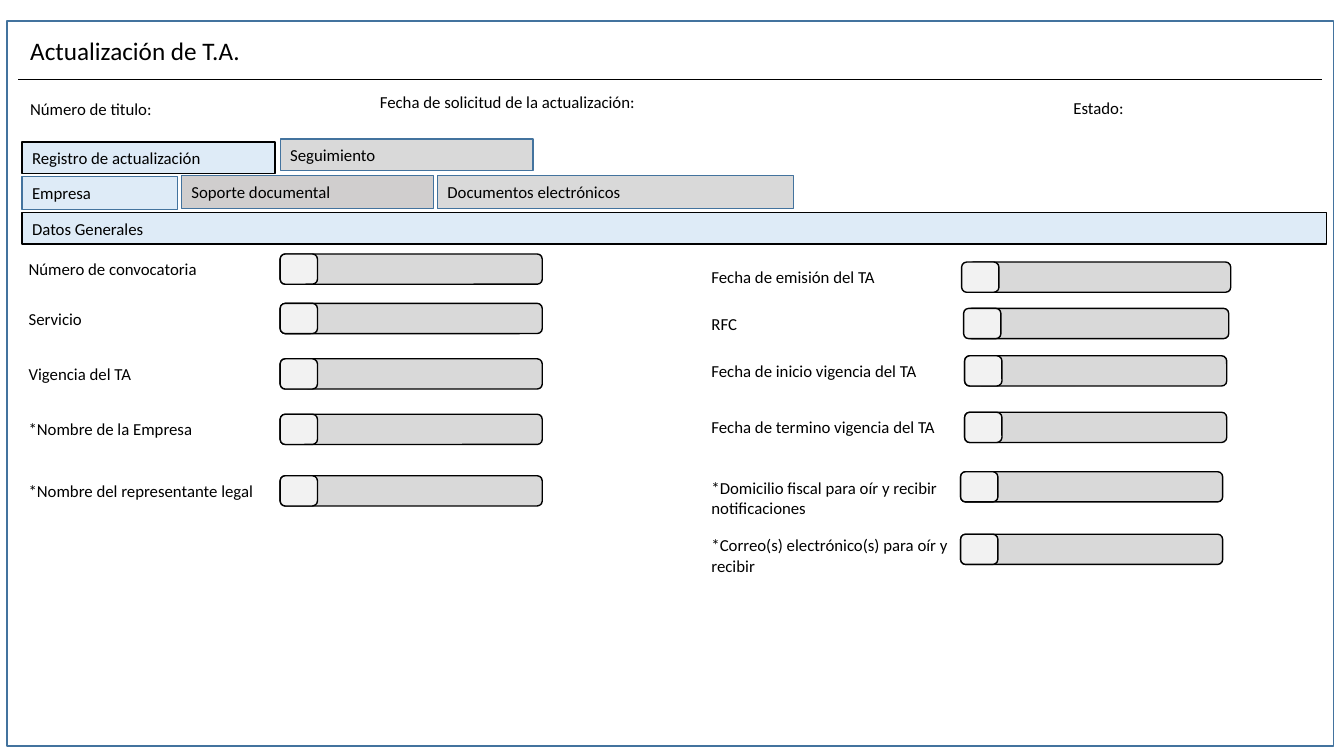
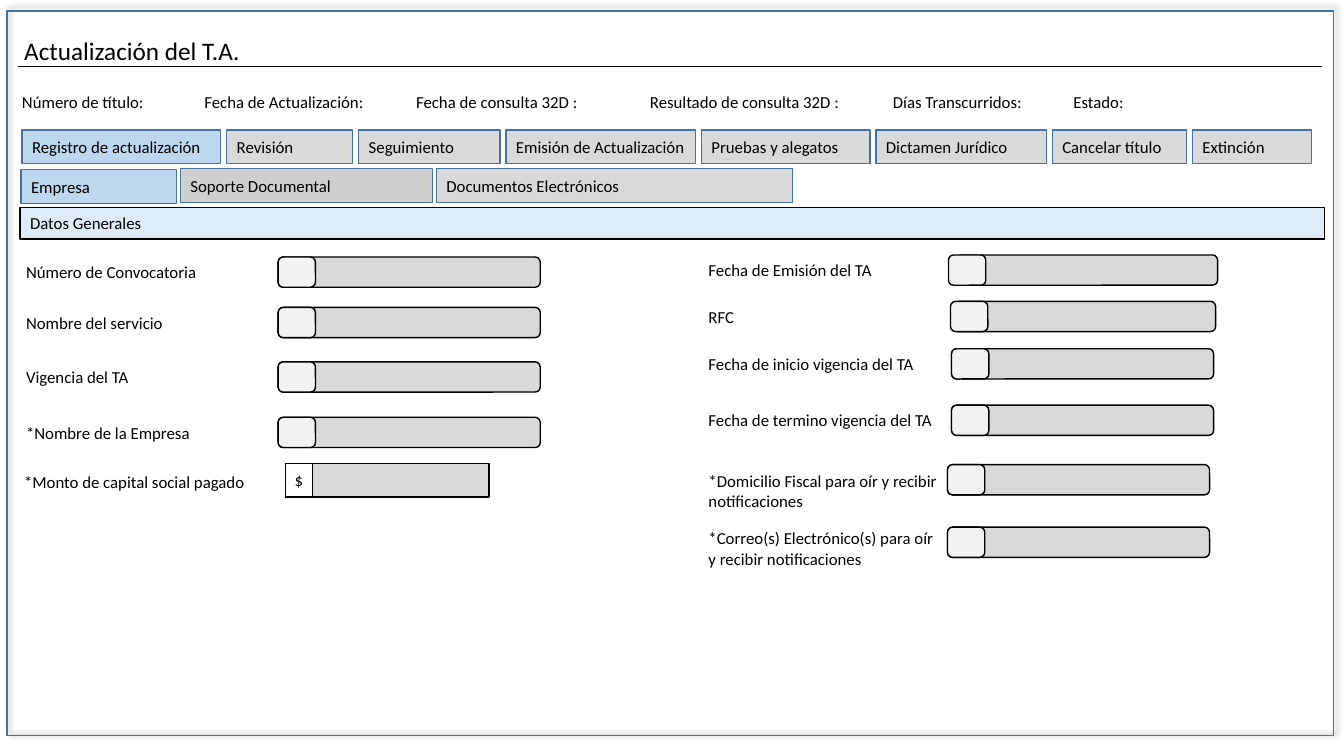
from dataclasses import dataclass

from lxml import etree
from pptx import Presentation
from pptx.dml import color
from pptx.enum import shapes, text
from pptx.oxml import ns
from pptx.util import Inches, Pt

COLUMN = ROW = Inches(0.1)
COLUMNS, ROWS = 133.33, 75
TITLE_ONLY = 5


@dataclass(frozen=True)
class Theme:
    font: str = "Calibri"
    title_size: int = 18
    body_size: int = 12
    outline: float = 1
    hairline: float = 0.5
    ink: str = "000000"
    edge: str = "43739E"
    section: str = "DEEBF7"
    active: str = "BDD7EE"
    idle: str = "D9D9D9"
    warm: str = "D0CECE"
    marker: str = "F2F2F2"
    paper: str = "FFFFFF"


@dataclass(frozen=True)
class Tab:
    label: str
    width: float
    fill: str = Theme.idle
    edge: str = Theme.edge
    dip: float = 0


@dataclass(frozen=True)
class FieldPlace:
    row: float
    shift: float = 0
    bar_shift: float = 0
    label_drop: float = 0


def rgb(value):
    return color.RGBColor.from_string(value)


def set_all(target, values):
    for name, value in values.items():
        setattr(target, name, value)


class FormDeck:
    def __init__(self, theme):
        self.theme = theme
        self.presentation = Presentation()
        self.presentation.slide_width = int(COLUMNS * COLUMN)
        self.presentation.slide_height = ROWS * ROW
        self.slide = None

    def box(self, left, top, width, height):
        return (int(left * COLUMN), int(top * ROW),
                int(width * COLUMN), int(height * ROW))

    def put_text(self, shape, words, size=None, frame=None, align=text.PP_ALIGN.LEFT):
        text_frame = shape.text_frame
        set_all(text_frame, {
            "text": words,
            "word_wrap": True,
            "auto_size": text.MSO_AUTO_SIZE.NONE,
            "vertical_anchor": text.MSO_ANCHOR.TOP,
            **(frame or {}),
        })
        paragraph = text_frame.paragraphs[0]
        paragraph.alignment = align
        set_all(paragraph.font, {
            "name": self.theme.font,
            "size": Pt(size or self.theme.body_size),
        })
        paragraph.font.color.rgb = rgb(self.theme.ink)

    def add_slide(self, title, title_left, rule_row):
        layout = self.presentation.slide_layouts[TITLE_ONLY]
        self.slide = self.presentation.slides.add_slide(layout)
        heading = self.slide.shapes.title
        place = self.box(title_left, 3, 51.1, 4)
        set_all(heading, dict(zip(("left", "top", "width", "height"), place)))
        self.put_text(heading, title, self.theme.title_size)
        self.rule(1.8, 131.2, rule_row)

    def rule(self, start, end, row):
        line = self.slide.shapes.add_connector(
            shapes.MSO_CONNECTOR.STRAIGHT,
            int(start * COLUMN), int(row * ROW), int(end * COLUMN), int(row * ROW))
        line.line.color.rgb = rgb(self.theme.ink)
        line.line.width = Pt(self.theme.hairline)
        etree.SubElement(line._element.spPr, ns.qn("a:effectLst"))

    def panel(self, place, fill=None, edge=Theme.ink, rounded=False):
        kind = shapes.MSO_SHAPE.ROUNDED_RECTANGLE if rounded else shapes.MSO_SHAPE.RECTANGLE
        shape = self.slide.shapes.add_shape(kind, *self.box(*place))
        shape.shadow.inherit = False
        if fill:
            shape.fill.solid()
            shape.fill.fore_color.rgb = rgb(fill)
        else:
            shape.fill.background()
        shape.line.color.rgb = rgb(edge)
        shape.line.width = Pt(self.theme.outline)
        return shape

    def window(self, top, shadow=False):
        shape = self.panel((0.7, top, 131.6, 71.9), edge=self.theme.edge)
        if shadow:
            effects = shape._element.spPr.find(ns.qn("a:effectLst"))
            outer = etree.SubElement(effects, ns.qn("a:outerShdw"), {
                "blurRad": str(Pt(4)), "dist": str(Pt(3)), "dir": str(315 * 60000)})
            tint = etree.SubElement(outer, ns.qn("a:srgbClr"), val=self.theme.ink)
            etree.SubElement(tint, ns.qn("a:alpha"), val="40000")

    def caption(self, words, left, top, width=25, height=3):
        shape = self.slide.shapes.add_textbox(*self.box(left, top, width, height))
        self.put_text(shape, words)

    def button(self, words, place, fill, edge):
        shape = self.panel(place, fill, edge)
        self.put_text(shape, words, frame={
            "vertical_anchor": text.MSO_ANCHOR.MIDDLE, "margin_right": 0})

    def tab_row(self, left, top, height, gap, tabs):
        for tab in tabs:
            self.button(tab.label, (left, top + tab.dip, tab.width, height),
                        tab.fill, tab.edge)
            left += tab.width + gap

    def section(self, words, left, top):
        self.button(words, (left, top, 129.4, 3.1), self.theme.section, self.theme.ink)

    def fields(self, labels, places, label_left, field_left, label_width, raise_by=0):
        for label, place in zip(labels, places):
            top = place.row - raise_by
            left = field_left + place.shift
            self.panel((left + place.bar_shift, top, 26, 3), self.theme.idle, rounded=True)
            self.panel((left, top, 3.7, 3), self.theme.marker, rounded=True)
            lines = 2 if place.label_drop else 1
            self.caption(label, label_left, top + place.label_drop,
                         label_width, 1 + 2 * lines)

    def money_field(self, label, top):
        self.caption(label, 1.4, top + 0.3)
        self.panel((28.3, top, 20.2, 3.3), self.theme.idle)
        sign = self.panel((28.3, top, 2.7, 3.3), self.theme.paper)
        self.put_text(sign, "$", align=text.PP_ALIGN.CENTER, frame={
            "vertical_anchor": text.MSO_ANCHOR.MIDDLE,
            "margin_left": 0, "margin_right": 0})


RIGHT_PLACES = [
    FieldPlace(26, 0, 0.7),
    FieldPlace(30.6, 0.2, 0.3),
    FieldPlace(35.3, 0.3),
    FieldPlace(40.9, 0.3),
    FieldPlace(46.8, -0.1, label_drop=0.1),
    FieldPlace(53, -0.1, label_drop=-0.4),
]


def build_request(deck):
    theme = deck.theme
    deck.add_slide("Actualización de T.A.", 2, 7.9)
    deck.window(2.1)
    for words, left, top, width in [
        ("Número de titulo:", 2, 9.3, 16.9),
        ("Fecha de solicitud de la actualización:", 36.7, 8.6, 36.7),
        ("Estado:", 105.5, 9.2, 21.2),
    ]:
        deck.caption(words, left, top, width)
    deck.tab_row(2.2, 13.8, 3.1, 0.5, [
        Tab("Registro de actualización", 25.1, theme.section, theme.ink, dip=0.3),
        Tab("Seguimiento", 25.1),
    ])
    deck.tab_row(2.2, 17.4, 3.3, 0.4, [
        Tab("Empresa", 15.4, theme.section, dip=0.1),
        Tab("Soporte documental", 25, theme.warm),
        Tab("Documentos electrónicos", 35.3),
    ])
    deck.section("Datos Generales", 2.2, 21.1)
    deck.fields(
        ["Número de convocatoria", "Servicio", "Vigencia del TA",
         "*Nombre de la Empresa", "*Nombre del representante legal"],
        [FieldPlace(row) for row in (25.2, 30.1, 35.6, 41.1, 47.2)],
        1.85, 27.8, 25.9)
    deck.fields(
        ["Fecha de emisión del TA", "RFC", "Fecha de inicio vigencia del TA",
         "Fecha de termino vigencia del TA",
         "*Domicilio fiscal para oír y recibir notificaciones",
         "*Correo(s) electrónico(s) para oír y recibir"],
        RIGHT_PLACES, 69.6, 95.4, 26.3)


def build_update(deck):
    theme = deck.theme
    deck.add_slide("Actualización del T.A.", 1.4, 6.6)
    deck.window(1.1, shadow=True)
    for words, left in [
        ("Número de título:", 1.2),
        ("Fecha de Actualización:", 19.3),
        ("Fecha de consulta 32D :", 40.3),
        ("Resultado de consulta 32D :", 63.5),
        ("Días Transcurridos:", 87.6),
        ("Estado:", 105.5),
    ]:
        deck.caption(words, left, 8.6, 22)
    deck.tab_row(2.2, 12.9, 3.3, 0.6, [
        Tab("Registro de actualización", 19.7, theme.active),
        Tab("Revisión", 12.5),
        Tab("Seguimiento", 14),
        Tab("Emisión de Actualización", 18.8),
        Tab("Pruebas y alegatos", 16.7),
        Tab("Dictamen Jurídico", 16.9),
        Tab("Cancelar título", 13.3),
        Tab("Extinción", 11.8),
    ])
    deck.tab_row(2.1, 16.7, 3.4, 0.4, [
        Tab("Empresa", 15.4, theme.active, dip=0.1),
        Tab("Soporte Documental", 25, theme.warm),
        Tab("Documentos Electrónicos", 35.3),
    ])
    deck.section("Datos Generales", 2, 20.6)
    deck.fields(
        ["Número de Convocatoria", "Nombre del servicio", "Vigencia del TA",
         "*Nombre de la Empresa"],
        [FieldPlace(row) for row in (25.5, 30.5, 35.9, 41.4)],
        1.6, 27.6, 25.9)
    deck.money_field("*Monto de capital social pagado", 46)
    deck.fields(
        ["Fecha de Emisión del TA", "RFC", "Fecha de inicio vigencia del TA",
         "Fecha de termino vigencia del TA",
         "*Domicilio Fiscal para oír y recibir notificaciones",
         "*Correo(s) Electrónico(s) para oír y recibir notificaciones"],
        RIGHT_PLACES, 69.3, 94.1, 24.8, raise_by=0.7)


def main():
    deck = FormDeck(Theme())
    build_request(deck)
    build_update(deck)
    deck.presentation.save("out.pptx")


if __name__ == "__main__":
    main()
